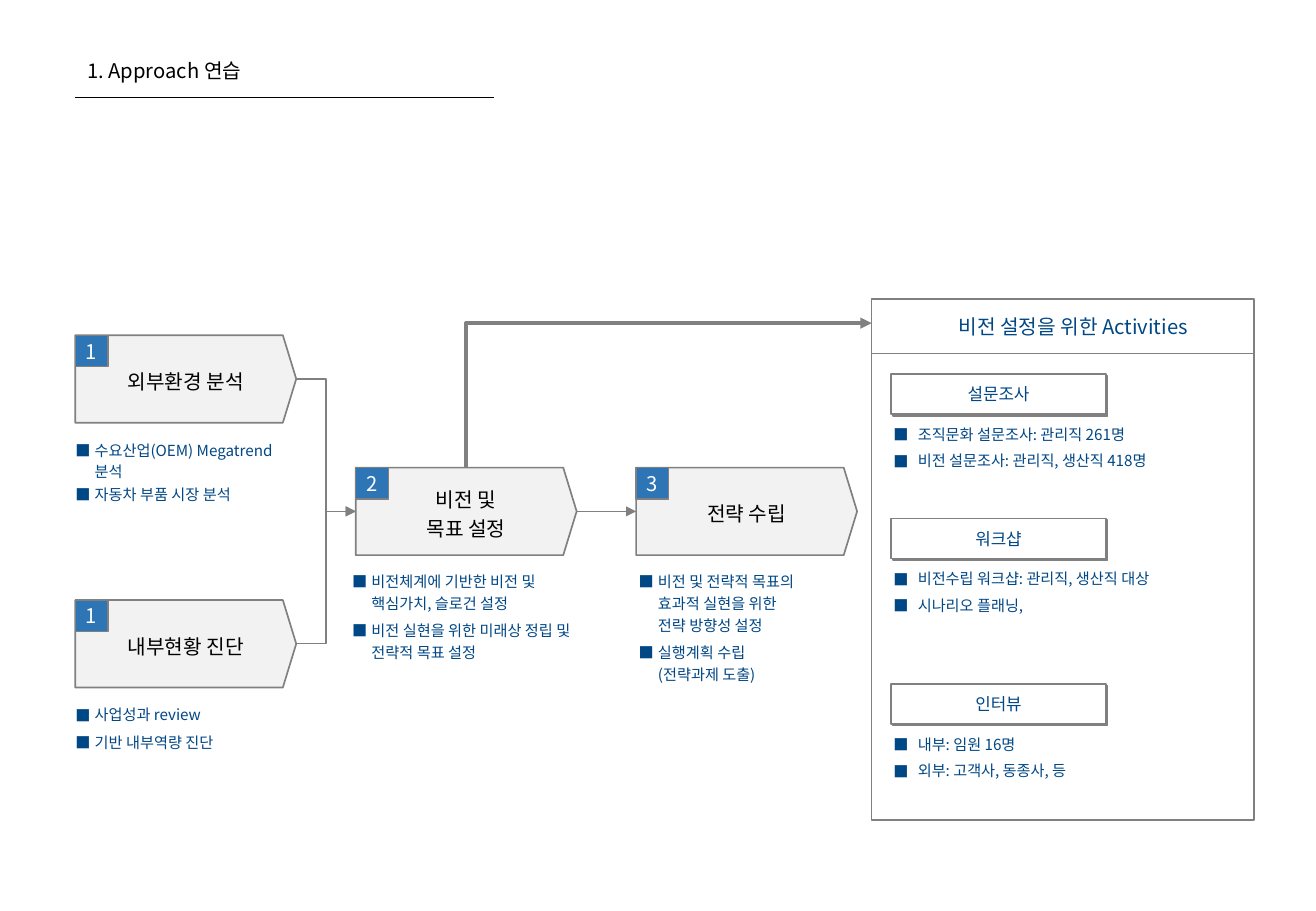
from dataclasses import dataclass, replace

from lxml.etree import SubElement
from pptx import Presentation
from pptx.dml.color import RGBColor
from pptx.enum.shapes import MSO_CONNECTOR, MSO_SHAPE
from pptx.enum.text import MSO_ANCHOR, MSO_AUTO_SIZE, PP_ALIGN
from pptx.oxml.ns import qn
from pptx.util import Inches, Pt

FONT = "Noto Sans CJK KR"
BLACK = RGBColor(0x00, 0x00, 0x00)
WHITE = RGBColor(0xFF, 0xFF, 0xFF)
GRAY = RGBColor(0x80, 0x80, 0x80)
PALE = RGBColor(0xF2, 0xF2, 0xF2)
BLUE = RGBColor(0x2E, 0x75, 0xB6)
NAVY = RGBColor(0x00, 0x47, 0x85)

STAGE_LEFT, STAGE_TOP = 0.62, 2.76
COLUMN_STEP, ROW_STEP = 2.31, 1.09
STAGE_WIDTH, STAGE_HEIGHT, STAGE_TIP = 1.82, 0.72, 0.11
PANEL_LEFT, PANEL_WIDTH = 7.18, 3.15


@dataclass
class TextStyle:
    size: float
    color: RGBColor
    align: PP_ALIGN = PP_ALIGN.CENTER
    spacing: float = 1.0
    before: float = 0
    after: float = 0
    margins: tuple = (0, 0)
    wrap: bool = True
    left: float = 0
    bullet: bool = False


TITLE = TextStyle(12, BLACK, PP_ALIGN.LEFT, margins=(0.1, 0.05))
HEADING = TextStyle(12, NAVY, spacing=1.05, before=2.2, left=0.17)
CARD = TextStyle(10, NAVY, before=2.5, margins=(0.1, 0.05))
STAGE = TextStyle(12, BLACK, spacing=1.2, before=4.5)
BADGE = TextStyle(12, WHITE, before=3, margins=(0.1, 0.05), wrap=False)
STAGE_NOTE = TextStyle(9, NAVY, PP_ALIGN.LEFT, 1.2, 1.6, 1.6, left=0.16, bullet=True)
EXTERNAL_NOTE = replace(STAGE_NOTE, spacing=1.15, before=0.5, after=0.5)
INTERNAL_NOTE = replace(STAGE_NOTE, before=2.2, after=1.1)
CARD_NOTE = replace(STAGE_NOTE, before=2.8, after=0, left=0.2)

# label, badge, column, row, notes, note place (left, top, width, height), note style
STAGES = [
    ("외부환경 분석", "1", 0, 0,
     ["수요산업(OEM) Megatrend 분석", "자동차 부품 시장 분석"],
     (0.62, 3.61, 1.75, 0.53), EXTERNAL_NOTE),
    ("내부현황 진단", "1", 0, 2,
     ["사업성과 review", "기반 내부역량 진단"],
     (0.62, 5.78, 1.75, 0.41), INTERNAL_NOTE),
    ("비전 및\n목표 설정", "2", 1, 1,
     ["비전체계에 기반한 비전 및 핵심가치, 슬로건 설정",
      "비전 실현을 위한 미래상 정립 및 전략적 목표 설정"],
     (2.9, 4.68, 1.81, 0.77), STAGE_NOTE),
    ("전략 수립", "3", 2, 1,
     ["비전 및 전략적 목표의\n효과적 실현을 위한\n전략 방향성 설정",
      "실행계획 수립\n(전략과제 도출)"],
     (5.26, 4.68, 2.02, 0.95), STAGE_NOTE),
]

ACTIVITIES = [
    ("설문조사", 3.08, ["조직문화 설문조사: 관리직 261명", "비전 설문조사: 관리직, 생산직 418명"]),
    ("워크샵", 4.27, ["비전수립 워크샵: 관리직, 생산직 대상", "시나리오 플래닝,"]),
    ("인터뷰", 5.63, ["내부: 임원 16명", "외부: 고객사, 동종사, 등"]),
]


def stage_corner(column, row):
    return STAGE_LEFT + column * COLUMN_STEP, STAGE_TOP + row * ROW_STEP


def entry_point(column, row):
    left, top = stage_corner(column, row)
    return left, top + STAGE_HEIGHT / 2


def exit_point(column, row):
    left, middle = entry_point(column, row)
    return left + STAGE_WIDTH, middle


class ApproachSlide:
    def __init__(self, deck):
        self.page = deck.slides.add_slide(deck.slide_layouts[6])
        self.shapes = self.page.shapes

    def fill_text(self, shape, paragraphs, style, anchor=MSO_ANCHOR.MIDDLE):
        frame = shape.text_frame
        frame.word_wrap = style.wrap
        frame.vertical_anchor = anchor
        side, edge = (Inches(margin) for margin in style.margins)
        frame.margin_left = frame.margin_right = side
        frame.margin_top = frame.margin_bottom = edge
        for index, text in enumerate(paragraphs):
            para = frame.add_paragraph() if index else frame.paragraphs[0]
            para.alignment = style.align
            para.line_spacing = style.spacing
            para.space_before, para.space_after = Pt(style.before), Pt(style.after)
            self.indent(para, style)
            for number, words in enumerate(text.split("\n")):
                if number:
                    para.add_line_break()
                span = para.add_run()
                span.text = words
                span.font.name = FONT
                span.font.size = Pt(style.size)
                span.font.color.rgb = style.color
                SubElement(span.font._element, qn("a:ea"), typeface=FONT)

    def indent(self, para, style):
        properties = para._p.get_or_add_pPr()
        properties.set("marL", str(Inches(style.left)))
        if style.bullet:
            properties.set("indent", str(-Inches(style.left)))
            color = SubElement(properties, qn("a:buClr"))
            SubElement(color, qn("a:srgbClr"), val=str(style.color))
            SubElement(properties, qn("a:buFont"), typeface=FONT)
            SubElement(properties, qn("a:buChar"), char="■")

    def paint(self, shape, fill, width):
        shape.shadow.inherit = False
        if fill is None:
            shape.fill.background()
        else:
            shape.fill.solid()
            shape.fill.fore_color.rgb = fill
        shape.line.color.rgb = GRAY
        shape.line.width = Pt(width)

    def box(self, left, top, width, height, fill=None, line=1):
        shape = self.shapes.add_shape(MSO_SHAPE.RECTANGLE, *map(Inches, (left, top, width, height)))
        self.paint(shape, fill, line)
        return shape

    def outline(self, points, fill=None, line=1, closed=True):
        corners = [(Inches(x), Inches(y)) for x, y in points]
        builder = self.shapes.build_freeform(*corners[0], scale=1.0)
        builder.add_line_segments(corners[1:], close=closed)
        shape = builder.convert_to_shape()
        self.paint(shape, fill, line)
        return shape

    def text(self, left, top, width, height, paragraphs, style):
        box = self.shapes.add_textbox(*map(Inches, (left, top, width, height)))
        self.fill_text(box, paragraphs, style, MSO_ANCHOR.TOP)
        box.text_frame.auto_size = MSO_AUTO_SIZE.SHAPE_TO_FIT_TEXT

    def arrowhead(self, shape):
        SubElement(shape._element.spPr.find(qn("a:ln")), qn("a:tailEnd"), type="triangle")

    def connect(self, start, end, kind=MSO_CONNECTOR.STRAIGHT, color=GRAY, width=0.75, arrow=True):
        connector = self.shapes.add_connector(kind, *map(Inches, (*start, *end)))
        connector.line.color.rgb = color
        connector.line.width = Pt(width)
        if arrow:
            self.arrowhead(connector)
        SubElement(connector._element.spPr, qn("a:effectLst"))

    def card(self, label, top, notes):
        shape = self.box(7.34, top, 1.77, 0.33, WHITE)
        effects = shape._element.spPr.find(qn("a:effectLst"))
        shadow = SubElement(effects, qn("a:outerShdw"), dist=str(Pt(1.4)), dir="2700000",
                            algn="ctr", rotWithShape="0")
        SubElement(shadow, qn("a:srgbClr"), val=str(GRAY))
        self.fill_text(shape, [label], CARD)
        self.text(7.36, top + 0.39, 2.88, 0.4, notes, CARD_NOTE)

    def stage(self, label, badge, column, row, notes, note_place, note_style):
        left, top = stage_corner(column, row)
        right, bottom = left + STAGE_WIDTH, top + STAGE_HEIGHT
        shoulder = right - STAGE_TIP
        shape = self.outline([(left, top), (shoulder, top), exit_point(column, row),
                              (shoulder, bottom), (left, bottom)], PALE)
        self.fill_text(shape, [label], STAGE)
        self.fill_text(self.box(left, top, 0.27, 0.26, BLUE, 0.75), [badge], BADGE)
        self.text(*note_place, notes, note_style)


def main():
    deck = Presentation()
    deck.slide_width, deck.slide_height = Inches(10.84), Inches(7.5)
    slide = ApproachSlide(deck)

    slide.text(0.62, 0.43, 2.15, 0.3, ["1. Approach 연습"], TITLE)
    slide.connect((0.62, 0.8), (4.07, 0.8), color=BLACK, width=0.5, arrow=False)

    vision_top = stage_corner(1, 1)[1]
    activity_arrow = slide.outline([(3.84, vision_top), (3.84, 2.66), (PANEL_LEFT, 2.66)],
                                   line=2.25, closed=False)
    slide.arrowhead(activity_arrow)
    slide.box(PANEL_LEFT, 2.91, PANEL_WIDTH, 3.84)
    header = slide.box(PANEL_LEFT, 2.46, PANEL_WIDTH, 0.45, WHITE)
    slide.fill_text(header, ["비전 설정을 위한 Activities"], HEADING)
    for activity in ACTIVITIES:
        slide.card(*activity)

    for stage in STAGES:
        slide.stage(*stage)
    for row in (0, 2):
        slide.connect(exit_point(0, row), entry_point(1, 1), MSO_CONNECTOR.ELBOW)
    slide.connect(exit_point(1, 1), entry_point(2, 1))

    deck.save("out.pptx")


if __name__ == "__main__":
    main()
